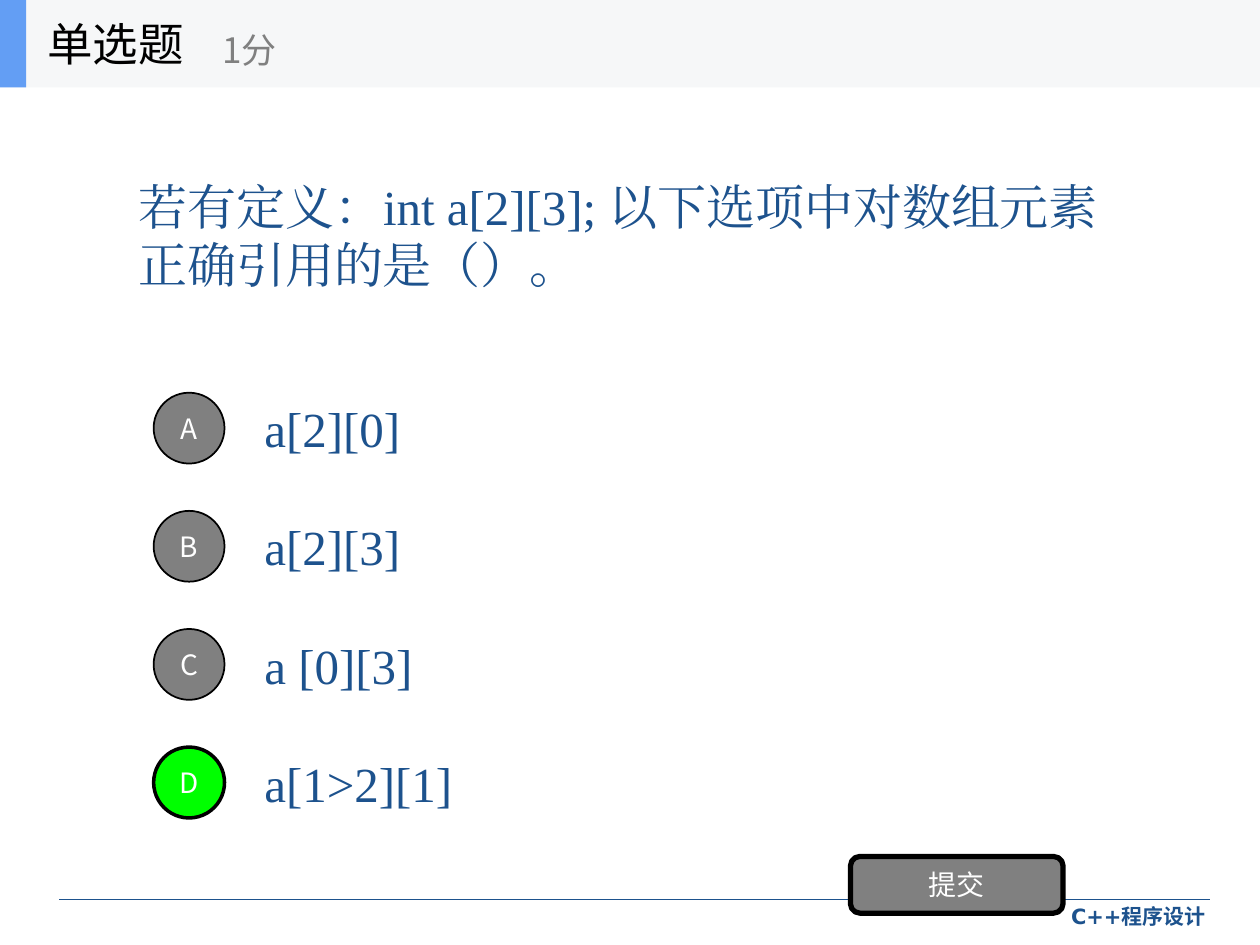
from pptx import Presentation
from pptx.dml.color import RGBColor
from pptx.enum.shapes import MSO_CONNECTOR as CONN, MSO_SHAPE as SHAPE
from pptx.enum.text import MSO_ANCHOR as ANCHOR, PP_ALIGN as ALIGN
from pptx.oxml.ns import qn
from pptx.util import Pt
from lxml import etree

COLORS = {
    "navy": "1D528D", "gray": "808080", "green": "00FF00", "black": "000000",
    "white": "FFFFFF", "header": "F6F7F8", "accent": "639EF4",
}
SANS, SERIF, FOOTER = "Noto Sans CJK SC", "Times New Roman", "DejaVu Sans"


def rgb(name):
    return RGBColor.from_string(COLORS[name])


def write(shape, text, size, font, color, align=ALIGN.LEFT, anchor=ANCHOR.MIDDLE, bold=False):
    frame = shape.text_frame
    frame.word_wrap = True
    frame.vertical_anchor = anchor
    paragraph = frame.paragraphs[0]
    paragraph.alignment = align
    run = paragraph.add_run()
    run.text = text
    run.font.size = Pt(size)
    run.font.name = font
    run.font.bold = bold
    run.font.color.rgb = rgb(color)
    # East Asian typeface
    east_asian = etree.SubElement(run.font._element, qn("a:ea"))
    east_asian.set("typeface", font)


def add_block(kind, left, top, width, height, fill, line_width=0):
    block = slide.shapes.add_shape(kind, Pt(left), Pt(top), Pt(width), Pt(height))
    block.shadow.inherit = False
    block.fill.solid()
    block.fill.fore_color.rgb = rgb(fill)
    if line_width:
        block.line.color.rgb = rgb("black")
        block.line.width = Pt(line_width)
    else:
        block.line.fill.background()
    return block


prs = Presentation()
prs.slide_width, prs.slide_height = Pt(720), Pt(540)
slide = prs.slides.add_slide(prs.slide_layouts[6])
add_text = slide.shapes.add_textbox

# Footer rule and course name
rule = slide.shapes.add_connector(CONN.STRAIGHT, Pt(33.8), Pt(513.9), Pt(691.2), Pt(513.9))
rule.line.color.rgb = rgb("navy")
rule.line.width = Pt(0.75)
etree.SubElement(rule._element.spPr, qn("a:effectLst"))
course = add_text(Pt(468), Pt(512.6), Pt(228), Pt(24))
write(course, "C++程序设计", 12, FOOTER, "navy", ALIGN.RIGHT, ANCHOR.TOP, bold=True)

# Question
question = add_text(Pt(72), Pt(50), Pt(576), Pt(168.5))
write(question, "若有定义：int a[2][3]; 以下选项中对数组元素正确引用的是（）。", 28, SERIF, "navy")

# Answer options, the correct one highlighted
answers = {"A": "a[2][0]", "B": "a[2][3]", "C": "a [0][3]", "D": "a[1>2][1]"}
correct = "D"
for row, (letter, answer) in enumerate(answers.items()):
    top = 219.4 + 67.5 * row
    option = add_text(Pt(144), Pt(top), Pt(504), Pt(50.6))
    write(option, answer, 28, SERIF, "navy")
    fill, line_width = ("green", 2) if letter == correct else ("gray", 1)
    badge = add_block(SHAPE.OVAL, 87.8, top + 5, 40.5, 40.5, fill, line_width)
    write(badge, letter, 16, SANS, "white", ALIGN.CENTER)

# Submit button
submit = add_block(SHAPE.ROUNDED_RECTANGLE, 486, 489.4, 121.5, 32.4, "gray", 3)
write(submit, "提交", 16, SANS, "white", ALIGN.CENTER)

# Header bar with question type and score
add_block(SHAPE.RECTANGLE, 0, 0, 720, 50, "header")
add_block(SHAPE.RECTANGLE, 0, 0, 15, 50, "accent")
question_type = add_text(Pt(20), Pt(0), Pt(150), Pt(50))
write(question_type, "单选题", 26, SANS, "black")
score = add_text(Pt(120), Pt(8.5), Pt(180), Pt(40))
write(score, "1分", 20, SANS, "gray")

prs.save("out.pptx")
